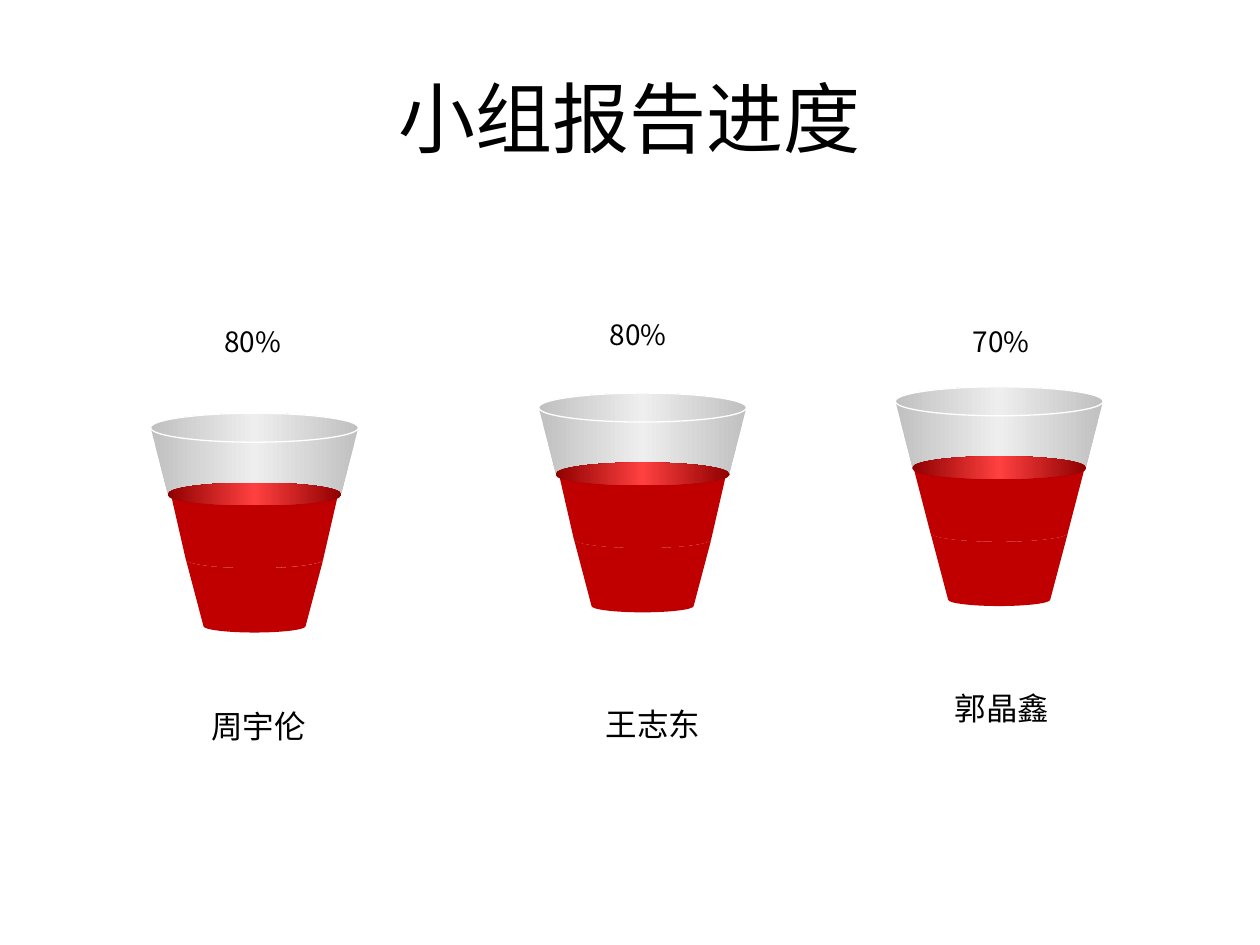
from copy import deepcopy

from lxml.etree import SubElement
from pptx import Presentation
from pptx.dml.color import RGBColor
from pptx.enum.shapes import MSO_SHAPE
from pptx.enum.text import MSO_ANCHOR, MSO_AUTO_SIZE, PP_ALIGN
from pptx.oxml.ns import qn
from pptx.util import Inches, Pt

COLORS = {"text": "000000", "rim": "FFFFFF", "juice": "C00000",
          "glass edge": "C0C0C0", "glass middle": "EEEEEE",
          "surface edge": "900000", "surface middle": "FF4040"}
GLASS = ("glass edge", "glass middle", "glass edge")
SURFACE = ("surface edge", "surface middle", "surface edge")
JUICE = ("juice",)


def paint(part, names):
    """Fill a part with one colour, or with an even left-to-right gradient."""
    part.shadow.inherit = False
    part.line.fill.background()
    if len(names) == 1:
        part.fill.solid()
        part.fill.fore_color.rgb = RGBColor.from_string(COLORS[names[0]])
        return
    part.fill.gradient()
    part.fill.gradient_angle = 0
    stop_list = part._element.spPr.find(qn("a:gradFill")).find(qn("a:gsLst"))
    stop_list.append(deepcopy(stop_list[-1]))
    for i, (stop, name) in enumerate(zip(part.fill.gradient_stops, names)):
        stop.position = i / (len(names) - 1)
        stop.color.rgb = RGBColor.from_string(COLORS[name])


def write(text, left, top, width, height, style):
    box = slide.shapes.add_textbox(Inches(left), Inches(top), Inches(width), Inches(height))
    frame = box.text_frame
    for name, value in style["frame"].items():
        setattr(frame, name, value)
    paragraph = frame.paragraphs[0]
    paragraph.text = text
    paragraph.alignment = style["align"]
    for name, value in style["font"].items():
        setattr(paragraph.font, name, value)
    paragraph.font.color.rgb = RGBColor.from_string(COLORS["text"])


TITLE = {"frame": {"word_wrap": True, "vertical_anchor": MSO_ANCHOR.MIDDLE},
         "align": PP_ALIGN.CENTER, "font": {"size": Pt(44), "name": "Calibri"}}
PERCENT = {"frame": {"word_wrap": True, "auto_size": MSO_AUTO_SIZE.SHAPE_TO_FIT_TEXT,
                     "margin_left": 0, "margin_right": 0, "margin_top": 0, "margin_bottom": 0},
           "align": PP_ALIGN.CENTER, "font": {"size": Pt(16), "name": "Noto Sans CJK SC"}}
MEMBER = {"frame": {"word_wrap": True, "auto_size": MSO_AUTO_SIZE.SHAPE_TO_FIT_TEXT},
          "align": PP_ALIGN.LEFT, "font": {"size": Pt(18), "name": "Calibri"}}

presentation = Presentation()
presentation.slide_width, presentation.slide_height = Inches(10), Inches(7.5)
slide = presentation.slides.add_slide(presentation.slide_layouts[6])

write("小组报告进度", 0.5, 0.3, 9, 1.25, TITLE)

# Member, progress, cup centre and top, juice top, percent and name positions
cups = [
    ("郭晶鑫", "70%", 7.93, 3.07, 0.62, (7.13, 2.58), (7.48, 5.42)),
    ("周宇伦", "80%", 2.02, 3.28, 0.55, (1.19, 2.58), (1.58, 5.56)),
    ("王志东", "80%", 5.1, 3.12, 0.55, (4.25, 2.52), (4.71, 5.55)),
]
BEND = 0.55  # control point distance of a quarter ellipse
CURVED_SIDES = (0, 2, 3, 5)

for member, percent, center, cup_top, juice_top, percent_at, member_at in cups:
    # Labels above and below the cup
    write(percent, *percent_at, 1.63, 0.27, PERCENT)
    write(member, *member_at, 1.09, 0.4, MEMBER)

    # Back to front: ellipses as (top, width, height), walls as
    # two edges of (y, width, sag)
    cup = slide.shapes.add_group_shape().shapes
    parts = [
        ("back", (0.01, 1.65, 0.2), GLASS),
        ("wall", ((1.16, 1.09, 0.07), (1.69, 0.81, 0.05)), JUICE),
        ("wall", ((juice_top, 1.37, 0.08), (1.16, 1.09, 0.07)), JUICE),
        ("wall", ((0.11, 1.65, 0.09), (0.63, 1.38, 0.08)), GLASS),
        ("rim", (0, 1.65, 0.23), GLASS),
        ("wall", ((0.64, 1.38, -0.09), (0.65, 1.38, 0.08)), SURFACE),
    ]
    for kind, geometry, fill in parts:
        if kind == "wall":
            (upper, upper_width, upper_sag), (lower, lower_width, lower_sag) = geometry
            corners = [
                (0, upper + upper_sag), (-upper_width / 2, upper), (-lower_width / 2, lower),
                (0, lower + lower_sag), (lower_width / 2, lower), (upper_width / 2, upper),
                (0, upper + upper_sag)]
            outline = [(Inches(center + x), Inches(cup_top + y)) for x, y in corners]
            builder = cup.build_freeform(*outline[0])
            builder.add_line_segments(outline[1:], close=True)
            part = builder.convert_to_shape()

            # Bend the upper and lower sides into quarter ellipses
            left, top = min(x for x, y in outline), min(y for x, y in outline)
            sides = list(part._element.iter(qn("a:lnTo")))
            for i in CURVED_SIDES:
                start, end = outline[i], outline[i + 1]
                bend = (end[0], start[1]) if i in (0, 3) else (start[0], end[1])
                controls = [[p + BEND * (b - p) for p, b in zip(point, bend)]
                            for point in (start, end)]
                sides[i].tag = qn("a:cubicBezTo")
                for position, (x, y) in enumerate(controls):
                    control = SubElement(sides[i], qn("a:pt"),
                                         x=str(round(x - left)), y=str(round(y - top)))
                    sides[i].insert(position, control)
        else:
            top, width, height = geometry
            part = cup.add_shape(MSO_SHAPE.OVAL, Inches(center - width / 2),
                                 Inches(cup_top + top), Inches(width), Inches(height))
        paint(part, fill)
        if kind == "rim":
            part.line.color.rgb = RGBColor.from_string(COLORS["rim"])
            part.line.width = Pt(0.75)

presentation.save("out.pptx")
